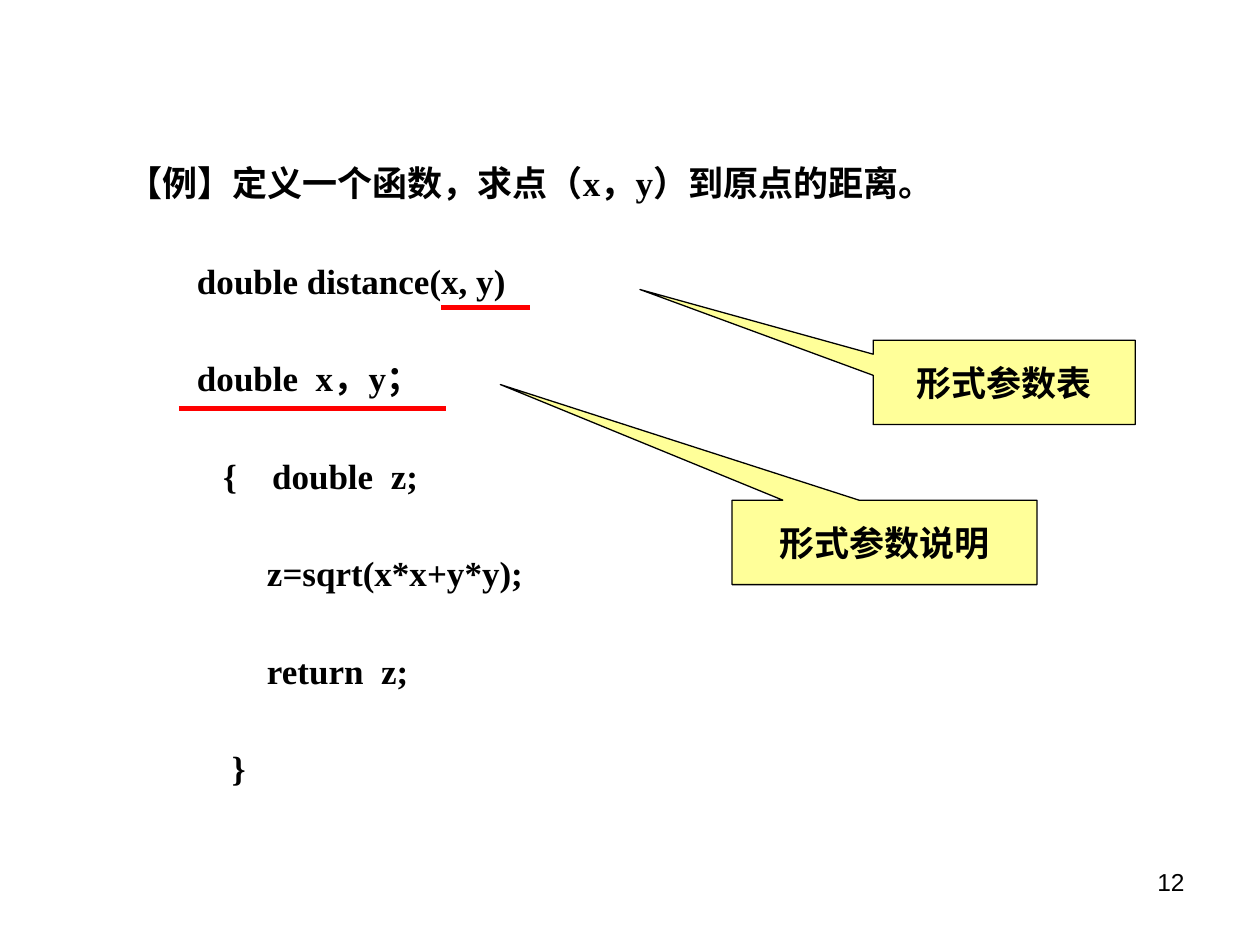
from typing import NamedTuple

from lxml import etree
from pptx import Presentation
from pptx.dml.color import RGBColor
from pptx.enum import shapes, text
from pptx.oxml import ns
from pptx.util import Inches, Pt

COLORS = {"ink": "000000", "note": "FFFF99", "mark": "FF0000", "page": "FFFFFF"}
SERIF, SANS = "Times New Roman", "Arial"
ALIGN = text.PP_ALIGN


class Box(NamedTuple):
    left: float
    top: float
    width: float
    height: float


class Note(NamedTuple):
    label: str
    box: Box
    tip: tuple[float, float]


class Mark(NamedTuple):
    left: float
    right: float
    y: float


LINES = [
    "【例】定义一个函数，求点（x，y）到原点的距离。",
    "        double distance(x, y)",
    "        double  x，y；",
    "           {    double  z;",
    "                z=sqrt(x*x+y*y);",
    "                return  z;",
    "            }",
]
NOTES = [
    Note("形式参数说明", Box(5.81, 3.97, 2.42, 0.67), (-1.26, -1.87)),
    Note("形式参数表", Box(6.93, 2.7, 2.08, 0.67), (-1.39, -1.1)),
]
MARKS = [Mark(1.42, 3.54, 3.24), Mark(3.5, 4.21, 2.44)]


def color(name: str) -> RGBColor:
    return RGBColor.from_string(COLORS[name])


def write(frame, lines: list[str], size: float, face: str, bold: bool,
          align: ALIGN, pitch: float | None = None, gap: float = 0) -> None:
    """Fill a frame, one paragraph a line, with gap points between them."""
    frame.word_wrap = True
    for i, line in enumerate(lines):
        para = frame.add_paragraph() if i else frame.paragraphs[0]
        para.text = line
        para.alignment = align
        para.line_spacing = pitch
        para.space_before = Pt(gap if i else 0)
        font = para.font
        font.name, font.size, font.bold = face, Pt(size), bold
        font.color.rgb = color("ink")


def add_text(slide, box: Box):
    return slide.shapes.add_textbox(*map(Inches, box)).text_frame


def add_note(slide, note: Note) -> None:
    shape = slide.shapes.add_shape(
        shapes.MSO_SHAPE.RECTANGULAR_CALLOUT, *map(Inches, note.box))
    shape.shadow.inherit = False
    shape.adjustments[0], shape.adjustments[1] = note.tip
    shape.fill.solid()
    shape.fill.fore_color.rgb = color("note")
    shape.line.color.rgb = color("ink")
    shape.line.width = Pt(0.75)
    shape.text_frame.vertical_anchor = text.MSO_ANCHOR.MIDDLE
    write(shape.text_frame, [note.label], 20, SERIF, True, ALIGN.CENTER)


def add_mark(slide, mark: Mark) -> None:
    line = slide.shapes.add_connector(
        shapes.MSO_CONNECTOR.STRAIGHT, Inches(mark.left), Inches(mark.y),
        Inches(mark.right), Inches(mark.y))
    line.line.color.rgb = color("mark")
    line.line.width = Pt(3)
    etree.SubElement(line._element.spPr, ns.qn("a:effectLst"))


def main() -> None:
    deck = Presentation()
    deck.slide_width, deck.slide_height = Inches(10), Inches(7.5)
    slide = deck.slides.add_slide(deck.slide_layouts[6])
    slide.background.fill.solid()
    slide.background.fill.fore_color.rgb = color("page")

    code = add_text(slide, Box(0.91, 0.97, 8.08, 5.34))
    code.auto_size = text.MSO_AUTO_SIZE.SHAPE_TO_FIT_TEXT
    write(code, LINES, 20, SERIF, True, ALIGN.LEFT, 1.8, 12.5)
    for note in NOTES:
        add_note(slide, note)
    for mark in MARKS:
        add_mark(slide, mark)
    number = add_text(slide, Box(7.17, 6.83, 2.33, 0.52))
    write(number, ["12"], 14, SANS, False, ALIGN.RIGHT)
    deck.save("out.pptx")


if __name__ == "__main__":
    main()
